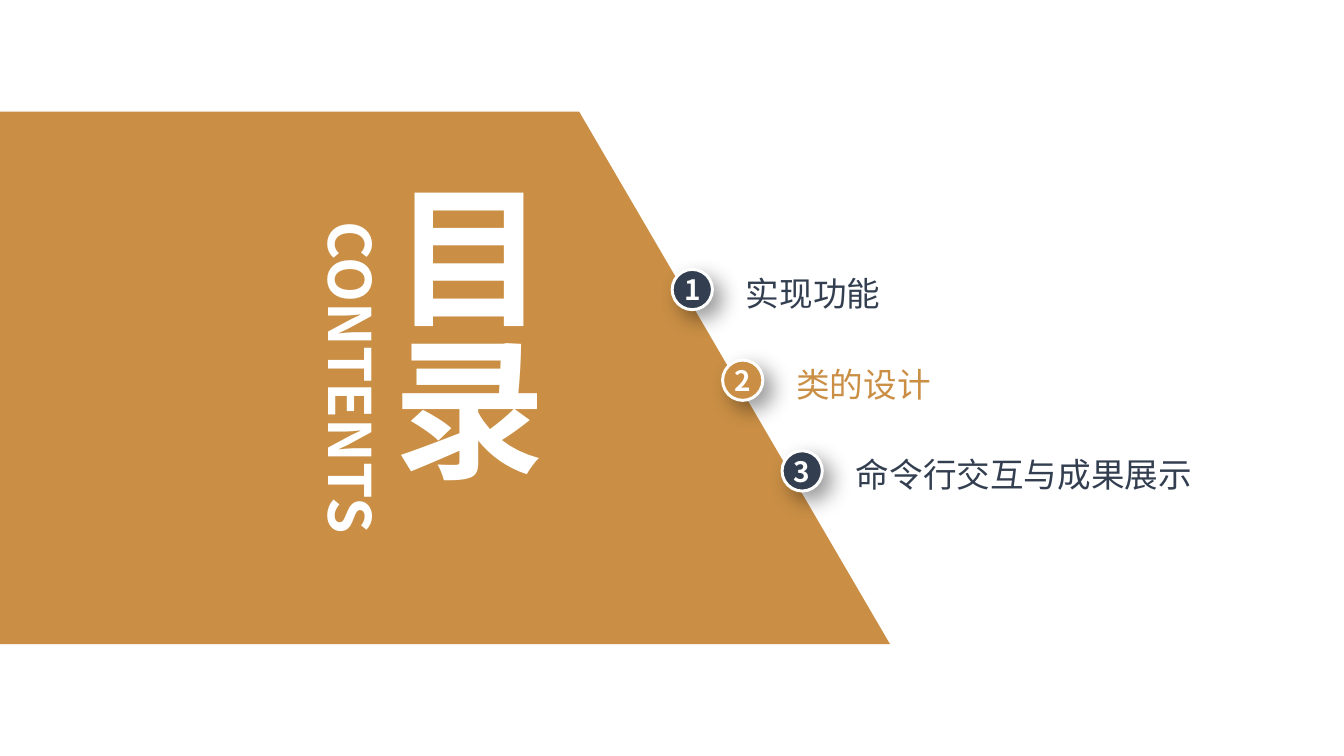
"""Build a contents slide with a slanted title panel and three numbered topics."""
from lxml.etree import SubElement
from pptx import Presentation
from pptx.dml.color import RGBColor
from pptx.enum.shapes import MSO_SHAPE
from pptx.enum.text import MSO_ANCHOR, MSO_AUTO_SIZE, PP_ALIGN
from pptx.oxml.ns import qn
from pptx.util import Cm, Pt

COLORS = {"gold": "CA8F45", "navy": "333F50", "white": "FFFFFF", "black": "000000"}
FONT = "Noto Sans CJK SC"
FRAME_FORMAT = {"margin_left": 0, "margin_top": 0, "margin_right": 0, "margin_bottom": 0,
                "word_wrap": True, "vertical_anchor": MSO_ANCHOR.MIDDLE}


def rgb(name):
    return RGBColor.from_string(COLORS[name])


def write(shape, text, size, color, bold=True, align=PP_ALIGN.CENTER,
          auto_size=MSO_AUTO_SIZE.SHAPE_TO_FIT_TEXT):
    frame = shape.text_frame
    for name, value in {**FRAME_FORMAT, "auto_size": auto_size}.items():
        setattr(frame, name, value)
    paragraph = frame.paragraphs[0]
    paragraph.alignment = align
    run = paragraph.add_run()
    run.text = text
    for name, value in {"size": Pt(size), "bold": bold, "name": FONT}.items():
        setattr(run.font, name, value)
    run.font.color.rgb = rgb(color)
    SubElement(run._r.get_or_add_rPr(), qn("a:ea"), typeface=FONT)


presentation = Presentation()
presentation.slide_width = Cm(35.71)
presentation.slide_height = Cm(20.09)
slide = presentation.slides.add_slide(presentation.slide_layouts[6])
shapes = slide.shapes

panel_top, panel_bottom = Cm(2.97), Cm(17.12)
builder = shapes.build_freeform(0, panel_top)
builder.add_line_segments([(Cm(15.39), panel_top), (Cm(23.65), panel_bottom), (0, panel_bottom)])
panel = builder.convert_to_shape()
panel.shadow.inherit = False
panel.fill.solid()
panel.fill.fore_color.rgb = rgb("gold")
panel.line.fill.background()

topics = [
    ("实现功能", "navy", 17.86, 6.86),
    ("类的设计", "gold", 19.2, 6.86),
    ("命令行交互与成果展示", "navy", 20.78, 9.58),
]
for index, (topic, color, left, width) in enumerate(topics):
    top = 7.16 + 2.41 * index
    badge = shapes.add_shape(MSO_SHAPE.OVAL, Cm(left), Cm(top), Cm(1.07), Cm(1.07))
    badge.fill.solid()
    badge.fill.fore_color.rgb = rgb(color)
    badge.line.color.rgb = rgb("white")
    badge.line.width = Pt(2.25)
    badge.shadow.inherit = False
    shadow = SubElement(badge.element.spPr.find(qn("a:effectLst")), qn("a:outerShdw"),
                        blurRad=str(Pt(16)), dist=str(Pt(9)), dir="2700000",
                        algn="tl", rotWithShape="0")
    shadow_color = SubElement(shadow, qn("a:srgbClr"), val=COLORS["black"])
    SubElement(shadow_color, qn("a:alpha"), val="40000")
    write(badge, str(index + 1), 21.1, "white", auto_size=MSO_AUTO_SIZE.NONE)

    label = shapes.add_textbox(Cm(left + 1.96), Cm(top + 0.08), Cm(width), Cm(1.09))
    write(label, topic, 25.3, color, bold=False, align=PP_ALIGN.LEFT)

title = shapes.add_textbox(Cm(9.88), Cm(4.78), Cm(4.93), Cm(10.54))
write(title, "目录", 115, "white")
title.text_frame._txBody.bodyPr.set("vert", "eaVert")

subtitle = shapes.add_textbox(Cm(4.75), Cm(9.09), Cm(9.17), Cm(1.88))
subtitle.rotation = 90
write(subtitle, "CONTENTS", 44, "white")
subtitle.text_frame.vertical_anchor = MSO_ANCHOR.TOP

presentation.save("out.pptx")
